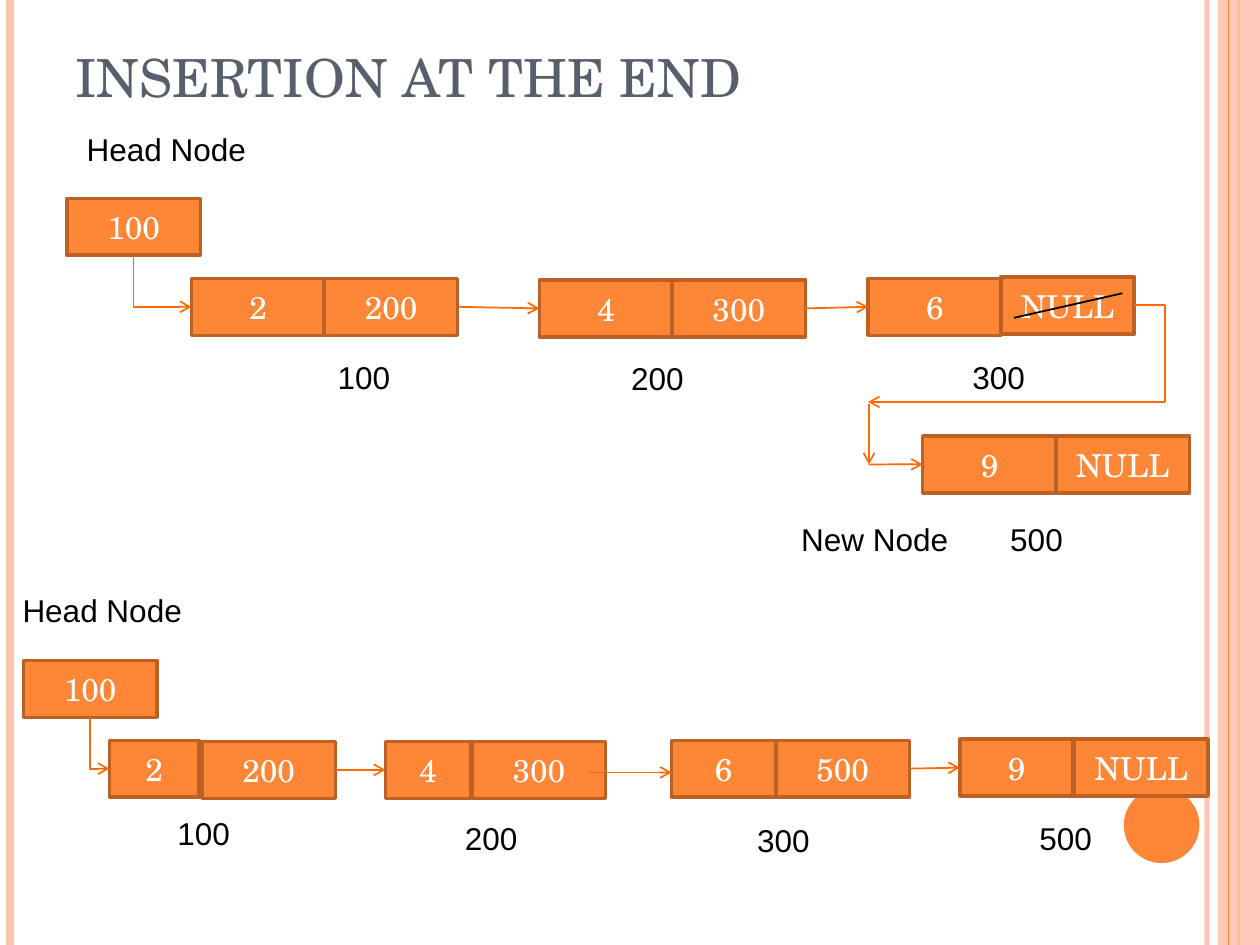
from lxml.etree import SubElement
from pptx import Presentation
from pptx.dml.color import RGBColor
from pptx.enum.shapes import MSO_CONNECTOR, MSO_SHAPE
from pptx.enum.text import MSO_ANCHOR, MSO_AUTO_SIZE, PP_ALIGN
from pptx.oxml.ns import qn
from pptx.util import Pt


def rgb(value):
    return RGBColor.from_string(value)


class ListSlide:
    """Style and drawing methods for a linked-list slide, in points."""

    SERIF, SANS = "TeX Gyre Schola", "Arial"
    ORANGE, BORDER, PALE, ARROW = "FE8637", "BB6126", "FEC3AE", "FF6903"
    CELL_W, CELL_H = 76.3, 32.5

    def __init__(self, prs):
        self.slide = prs.slides.add_slide(prs.slide_layouts[5])
        self.shapes = self.slide.shapes

    def font(self, p, name, size, color):
        p.font.name, p.font.size = name, Pt(size)
        p.font.color.rgb = rgb(color)

    def alpha(self, sp, tag, percent):
        clr = sp._element.spPr.find(qn(tag)).find(".//" + qn("a:srgbClr"))
        SubElement(clr, qn("a:alpha")).set("val", str(percent * 1000))

    def title(self, text, x, y, w, h):
        sp = self.shapes.title
        sp.left, sp.top, sp.width, sp.height = Pt(x), Pt(y), Pt(w), Pt(h)
        tf = sp.text_frame
        tf.text = text
        tf.word_wrap, tf.auto_size = True, MSO_AUTO_SIZE.NONE
        tf.vertical_anchor = MSO_ANCHOR.BOTTOM
        p = tf.paragraphs[0]
        p.alignment = PP_ALIGN.LEFT
        self.font(p, self.SERIF, 30, "575F6D")

    def shape(self, kind, x, y, w, h, fill):
        sp = self.shapes.add_shape(kind, Pt(x), Pt(y), Pt(w), Pt(h))
        sp.shadow.inherit = False
        sp.fill.solid()
        sp.fill.fore_color.rgb = rgb(fill)
        sp.line.fill.background()
        return sp

    def cell(self, text, x, y, w=CELL_W):
        sp = self.shape(MSO_SHAPE.RECTANGLE, x, y, w, self.CELL_H, self.ORANGE)
        sp.line.color.rgb = rgb(self.BORDER)
        sp.line.width = Pt(2)
        tf = sp.text_frame
        tf.text = text
        tf.vertical_anchor = MSO_ANCHOR.MIDDLE
        p = tf.paragraphs[0]
        p.alignment = PP_ALIGN.CENTER
        self.font(p, self.SERIF, 18, "FFFFFF")
        return sp

    def node(self, value, link, x, y, w, link_x, link_y):
        return self.cell(value, x, y, w), self.cell(link, link_x, link_y)

    def label(self, text, x, y, w=61.2):
        tf = self.shapes.add_textbox(Pt(x), Pt(y), Pt(w), Pt(28.8)).text_frame
        tf.text = text
        tf.word_wrap, tf.auto_size = True, MSO_AUTO_SIZE.SHAPE_TO_FIT_TEXT
        self.font(tf.paragraphs[0], self.SANS, 18, "000000")

    def line(self, x1, y1, x2, y2, color, width=1, kind=MSO_CONNECTOR.STRAIGHT):
        sp = self.shapes.add_connector(kind, Pt(x1), Pt(y1), Pt(x2), Pt(y2))
        sp.line.color.rgb = rgb(color)
        sp.line.width = Pt(width)
        SubElement(sp._element.spPr, qn("a:effectLst"))
        return sp

    def arrow(self, x1, y1, x2, y2, kind=MSO_CONNECTOR.STRAIGHT):
        sp = self.line(x1, y1, x2, y2, self.ARROW, kind=kind)
        ln = sp._element.spPr.find(qn("a:ln"))
        SubElement(ln, qn("a:tailEnd")).set("type", "arrow")
        return sp

    def link(self, source, target, kind=MSO_CONNECTOR.STRAIGHT, side=3):
        sp = self.arrow(0, 0, 0, 0, kind)
        sp.begin_connect(source, side)
        sp.end_connect(target, 1)
        return sp

    def head_link(self, head, target):
        sp = self.link(head, target, MSO_CONNECTOR.ELBOW, 2)
        x, y, w, h = sp.left, sp.top, sp.width, sp.height
        sp.left, sp.top = x + (w - h) // 2, y + (h - w) // 2
        sp.width, sp.height = h, w
        spPr = sp._element.spPr
        spPr.find(qn("a:prstGeom")).set("prst", "bentConnector2")
        xfrm = spPr.find(qn("a:xfrm"))
        xfrm.set("rot", "16200000")
        xfrm.set("flipH", "1")

    def detour(self, x1, y1, x2, y2, turn_x):
        sp = self.arrow(x1, y1, x2, y2, MSO_CONNECTOR.ELBOW)
        geom = sp._element.spPr.find(qn("a:prstGeom"))
        gd = SubElement(geom.find(qn("a:avLst")), qn("a:gd"))
        gd.set("name", "adj1")
        gd.set("fmla", f"val {round((turn_x - x1) / (x2 - x1) * 100000)}")

    def decoration(self):
        edge = self.line(689.8, 0, 689.8, 540, self.PALE, 3)
        self.alpha(edge, "a:ln", 93)
        self.line(5.8, 0, 5.8, 540, self.PALE, 4.5)
        self.line(707.8, 0, 707.8, 540, self.ORANGE, 1.5)
        band = self.shape(MSO_SHAPE.RECTANGLE, 696, 0, 24, 540, self.PALE)
        self.alpha(band, "a:solidFill", 87)
        self.line(702, 0, 702, 540, self.ORANGE, 0.75)
        self.shape(MSO_SHAPE.OVAL, 642.2, 450, 43.2, 43.2, self.ORANGE)


def main():
    prs = Presentation()
    prs.slide_width, prs.slide_height = Pt(720), Pt(540)
    s = ListSlide(prs)
    s.decoration()
    s.title("INSERTION AT THE END", 36, 21.6, 588, 43.9)

    head = s.cell("100", 38.2, 113.3)
    first, second, third, new = [s.node(*row) for row in (
        ("2", "200", 109.4, 159.1, s.CELL_W, 185.3, 159.1),
        ("4", "300", 308.2, 160, s.CELL_W, 384, 160),
        ("6", "NULL", 496.1, 159.1, s.CELL_W, 571.9, 158.4),
        ("9", "NULL", 527.3, 249.1, s.CELL_W, 603.4, 249.1),
    )]
    s.head_link(head, first[0])
    s.link(first[1], second[0])
    s.link(second[1], third[0])
    s.detour(648.2, 174.4, 496.1, 229.7, 665.9)
    s.arrow(496.6, 231, 496.6, 265.4)
    s.arrow(496.4, 265.4, 527.3, 265.4).end_connect(new[0], 1)
    s.line(641.4, 167.6, 579.5, 181.6, "000000")

    head = s.cell("100", 13.4, 377.4)
    first, second, third, last = [s.node(*row) for row in (
        ("2", "200", 62.6, 423, 51.1, 115.4, 423.7),
        ("4", "300", 220.2, 423.7, 49, 269.8, 423.7),
        ("6", "500", 383.8, 423, 59.4, 443.4, 423),
        ("9", "NULL", 548.5, 422.4, 64.8, 614, 422.4),
    )]
    s.head_link(head, first[0])
    s.link(first[1], second[0])
    s.arrow(335.5, 441.4, 383.8, 441.4)
    s.link(third[1], last[0])

    for text, x, y in (
        ("100", 185.8, 200.9), ("200", 353.5, 201.8), ("300", 548.6, 200.9),
        ("500", 570.2, 293.9), ("100", 94.3, 461.5), ("200", 258.5, 464.4),
        ("300", 425.5, 465.8), ("500", 586.8, 464.4),
    ):
        s.label(text, x, y)
    for text, x, y in (
        ("Head Node", 42.5, 70.6), ("New Node", 450.7, 293.6),
        ("Head Node", 5.8, 334.1),
    ):
        s.label(text, x, y, 113)

    prs.save("out.pptx")


if __name__ == "__main__":
    main()
